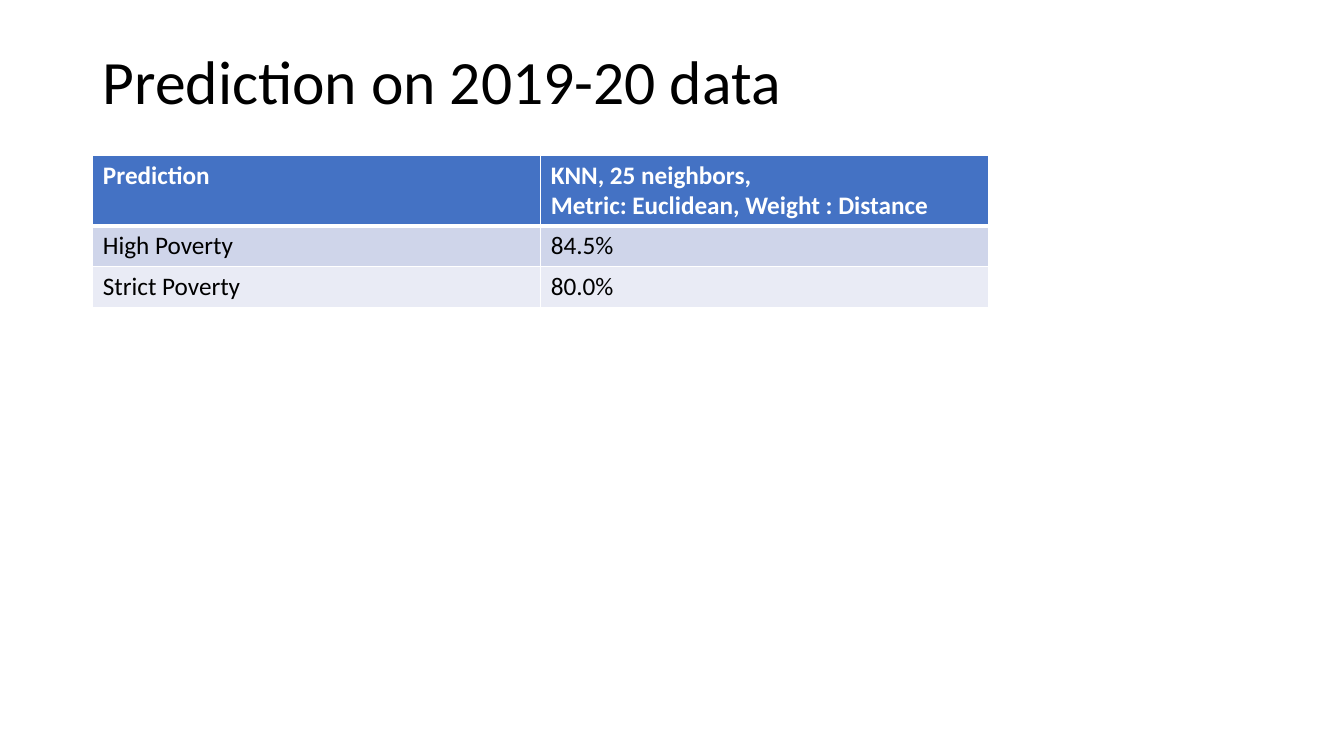
import dataclasses

import lxml.etree
import pptx
import pptx.dml.color
import pptx.enum.text
import pptx.oxml.ns
import pptx.util

Cm = pptx.util.Cm
Pt = pptx.util.Pt


@dataclasses.dataclass(frozen=True)
class Theme:
    font: str = "Calibri"
    title_size: int = 44
    table_size: int = 18
    text: str = "000000"
    header_text: str = "FFFFFF"
    header_fill: str = "4472C4"
    band_fills: tuple = ("CFD5EA", "E9EBF5")
    border: str = "FFFFFF"
    thin: int = 1
    thick: int = 3


class SlideBuilder:
    def __init__(self, slide, theme):
        self.slide = slide
        self.theme = theme

    def format_text(self, text_frame, size, color, bold=False):
        for paragraph in text_frame.paragraphs:
            for run in paragraph.runs:
                run.font.name = self.theme.font
                run.font.size = Pt(size)
                run.font.bold = bold
                run.font.color.rgb = pptx.dml.color.RGBColor.from_string(color)

    def title(self, text, left, top, width, height):
        text_frame = self.slide.shapes.add_textbox(left, top, width, height).text_frame
        text_frame.word_wrap = True
        text_frame.vertical_anchor = pptx.enum.text.MSO_ANCHOR.MIDDLE
        text_frame.text = text
        text_frame.paragraphs[0].line_spacing = 0.9
        self.format_text(text_frame, self.theme.title_size, self.theme.text)

    def cell_borders(self, cell, top, bottom):
        qn = pptx.oxml.ns.qn
        properties = cell._tc.get_or_add_tcPr()
        thin = self.theme.thin
        sides = (("a:lnL", thin), ("a:lnR", thin), ("a:lnT", top), ("a:lnB", bottom))
        for index, (tag, width) in enumerate(sides):
            line = lxml.etree.Element(qn(tag), w=str(Pt(width)))
            fill = lxml.etree.SubElement(line, qn("a:solidFill"))
            lxml.etree.SubElement(fill, qn("a:srgbClr"), val=self.theme.border)
            properties.insert(index, line)

    def table(self, rows, left, top, column_width, row_heights):
        theme = self.theme
        column_count = len(rows[0])
        table = self.slide.shapes.add_table(
            len(rows), column_count, left, top,
            column_width * column_count, sum(row_heights)).table
        for column in table.columns:
            column.width = column_width
        for row_index, values in enumerate(rows):
            table.rows[row_index].height = row_heights[row_index]
            header = row_index == 0
            fill = theme.header_fill if header else theme.band_fills[(row_index - 1) % 2]
            color = theme.header_text if header else theme.text
            top_width = theme.thick if row_index == 1 else theme.thin
            bottom_width = theme.thick if header else theme.thin
            for column_index, value in enumerate(values):
                cell = table.cell(row_index, column_index)
                cell.text_frame.text = value
                cell.fill.solid()
                cell.fill.fore_color.rgb = pptx.dml.color.RGBColor.from_string(fill)
                self.format_text(cell.text_frame, theme.table_size, color, header)
                self.cell_borders(cell, top_width, bottom_width)


presentation = pptx.Presentation()
presentation.slide_width = Cm(33.87)
presentation.slide_height = Cm(19.05)
builder = SlideBuilder(
    presentation.slides.add_slide(presentation.slide_layouts[6]), Theme())

left_margin = Cm(2.34)
builder.title("Prediction on 2019-20 data", left_margin, Cm(1.02), Cm(29.21), Cm(2.24))

prediction_rows = (
    ("Prediction", "KNN, 25 neighbors,\nMetric: Euclidean, Weight : Distance"),
    ("High Poverty", "84.5%"),
    ("Strict Poverty", "80.0%"),
)
builder.table(prediction_rows, left_margin, Cm(3.91), Cm(11.29),
              (Cm(1.78), Cm(1.03), Cm(1.03)))

presentation.save("out.pptx")
